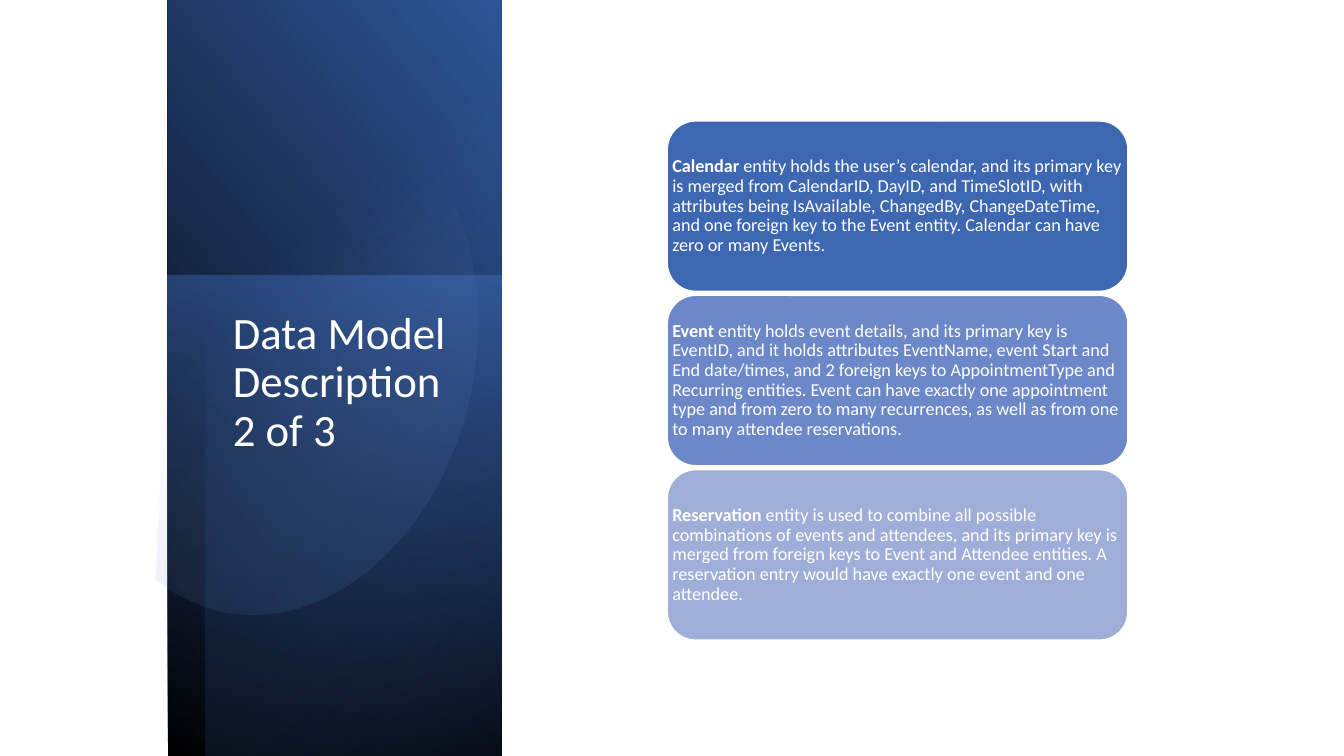
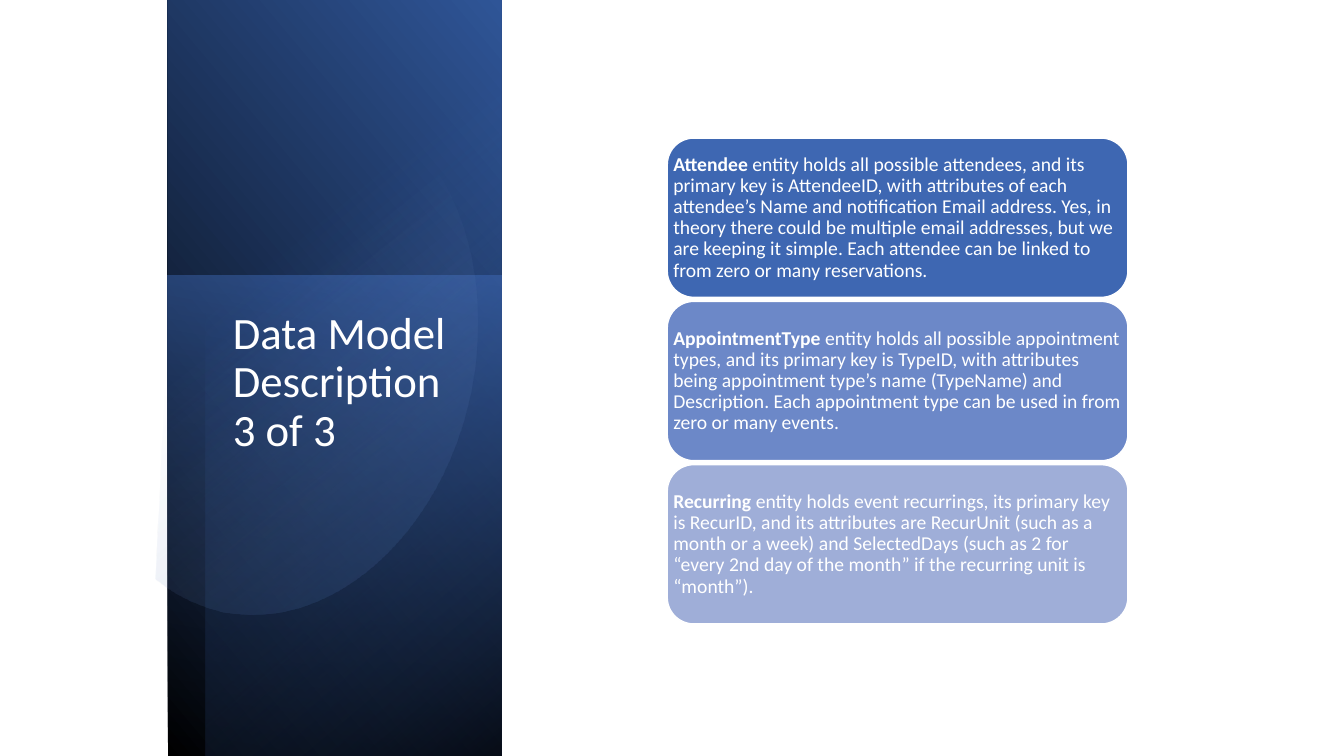
from lxml.etree import SubElement
from pptx import Presentation
from pptx.dml.color import RGBColor
from pptx.enum.shapes import MSO_SHAPE
from pptx.enum.text import MSO_ANCHOR, MSO_AUTO_SIZE, PP_ALIGN
from pptx.oxml.ns import qn
from pptx.util import Pt

PX = 9144  # EMU per px, 100 px to the inch
FONT, WHITE = "Calibri", "FFFFFF"
CARD_COLORS = ["3E67B2", "6C88C8", "9FAED8"]
CARD_LEFT, CARD_WIDTH, CARD_GAP, CARDS_MIDDLE = 662, 457, 4, 378
TITLE_BOX = (221, 303, 236, 336)

# box, rotation, flipped, gradient angle, stops of (position, color, opacity)
BANDS = [
    ((-44, 210, 752, 331), 90, True, 310, [(0, "000000", 100), (100, "2F5597", 100)]),
    ((94, 346, 476, 331), 270, False, 190, [(0, "4472C4", 50), (100, "203864", 0)]),
    ((-24, 228, 750, 294), 270, True, 220, [(0, "000000", 59), (69, "4472C4", 0)]),
]

# A segment holds one point for a line, three for a Bézier curve
GLOW_START = (287, 89)
GLOW_SEGMENTS = [
    [(300, 88), (313, 89), (327, 91)],
    [(433, 113), (496, 247), (467, 389)],
    [(438, 531), (327, 628), (221, 607)],
    [(201, 602), (182, 594), (166, 583)],
    [(154, 574)],
    [(176, 138)],
    [(192, 125)],
    [(221, 104), (253, 91), (287, 89)],
]
GLOW_ANGLE = 52
GLOW_STOPS = [(39, "8FAADC", 0), (100, "2F5597", 26)]

SLIDES = [
    {
        "title": "Data Model Description 2 of 3",
        "card_height": 169, "inset": 5, "size": 13,
        "cards": [
            ("Calendar", " entity holds the user’s calendar, and its primary key is merged "
             "from CalendarID, DayID, and TimeSlotID, with attributes being IsAvailable, "
             "ChangedBy, ChangeDateTime, and one foreign key to the Event entity. "
             "Calendar can have zero or many Events."),
            ("Event", " entity holds event details, and its primary key is EventID, and it "
             "holds attributes EventName, event Start and End date/times, and 2 foreign keys "
             "to AppointmentType and Recurring entities. Event can have exactly one "
             "appointment type and from zero to many recurrences, as well as from one to "
             "many attendee reservations."),
            ("Reservation", " entity is used to combine all possible combinations of events "
             "and attendees, and its primary key is merged from foreign keys to Event and "
             "Attendee entities. A reservation entry would have exactly one event and one "
             "attendee."),
        ],
    },
    {
        "title": "Data Model Description 3 of 3",
        "card_height": 158, "inset": 6, "size": 14,
        "cards": [
            ("Attendee", " entity holds all possible attendees, and its primary key is "
             "AttendeeID, with attributes of each attendee’s Name and notification Email "
             "address. Yes, in theory there could be multiple email addresses, but we are "
             "keeping it simple. Each attendee can be linked to from zero or many "
             "reservations."),
            ("AppointmentType", " entity holds all possible appointment types, and its "
             "primary key is TypeID, with attributes being appointment type’s name "
             "(TypeName) and Description. Each appointment type can be used in from zero "
             "or many events."),
            ("Recurring", " entity holds event recurrings, its primary key is RecurID, and "
             "its attributes are RecurUnit (such as a month or a week) and SelectedDays "
             "(such as 2 for “every 2nd day of the month” if the recurring unit is "
             "“month”)."),
        ],
    },
]


def rgb(color):
    return RGBColor.from_string(color)


def emu(lengths):
    return [round(length * PX) for length in lengths]


def style_span(span, size, bold=False):
    span.font.name, span.font.size, span.font.bold = FONT, Pt(size), bold
    span.font.color.rgb = rgb(WHITE)


def fill_gradient(shape, angle, stops):
    """Fill with a two-stop gradient; the angle runs clockwise."""
    shape.shadow.inherit = False
    shape.line.fill.background()
    shape.fill.gradient()
    shape.fill.gradient_angle = 360 - angle
    for stop, (position, color, _) in zip(shape.fill.gradient_stops, stops):
        stop.position = position / 100
        stop.color.rgb = rgb(color)
    color_elements = shape.element.spPr.iter(qn("a:srgbClr"))
    for element, (_, _, opacity) in zip(color_elements, stops):
        if opacity < 100:
            SubElement(element, qn("a:alpha")).set("val", str(opacity * 1000))


def outline_points(start, segments, steps=24):
    """Turn lines and Bézier curves into a list of points."""
    points = [start]
    for segment in segments:
        if len(segment) == 1:
            points += segment
            continue
        corners = [points[-1], *segment]
        for step in range(1, steps + 1):
            t = step / steps
            weights = [(1 - t) ** 3, 3 * t * (1 - t) ** 2, 3 * t ** 2 * (1 - t), t ** 3]
            points.append(tuple(sum(w * corner[axis] for w, corner in zip(weights, corners))
                                for axis in (0, 1)))
    return points


def add_panel(page):
    for box, rotation, flipped, angle, stops in BANDS:
        band = page.shapes.add_shape(MSO_SHAPE.RECTANGLE, *emu(box))
        band.rotation = rotation
        if flipped:
            band.element.spPr.find(qn("a:xfrm")).set("flipH", "1")
        fill_gradient(band, angle, stops)
    points = [emu(point) for point in outline_points(GLOW_START, GLOW_SEGMENTS)]
    builder = page.shapes.build_freeform(*points[0], scale=1.0)
    builder.add_line_segments(points[1:], close=True)
    fill_gradient(builder.convert_to_shape(), GLOW_ANGLE, GLOW_STOPS)


def add_title(page, text):
    title = page.shapes.title
    page.shapes.element.append(title.element)  # in front of the panel
    title.left, title.top, title.width, title.height = emu(TITLE_BOX)
    frame = title.text_frame
    frame.text = text
    frame.auto_size = MSO_AUTO_SIZE.NONE
    frame.vertical_anchor = MSO_ANCHOR.TOP
    para = frame.paragraphs[0]
    para.alignment, para.line_spacing = PP_ALIGN.LEFT, 0.9
    style_span(para.runs[0], 32)


def add_cards(page, cards, height, inset, size):
    group = page.shapes.add_group_shape().shapes
    pitch = height + CARD_GAP
    top = CARDS_MIDDLE - (len(cards) * pitch - CARD_GAP + 1) // 2
    for index, ((entity, description), color) in enumerate(zip(cards, CARD_COLORS)):
        box = emu((CARD_LEFT, top + index * pitch, CARD_WIDTH, height))
        card = group.add_shape(MSO_SHAPE.ROUNDED_RECTANGLE, *box)
        card.shadow.inherit = False
        card.fill.solid()
        card.fill.fore_color.rgb = rgb(color)
        card.line.color.rgb = rgb(WHITE)
        card.line.width = Pt(1)

        frame = group.add_textbox(*box).text_frame
        frame.word_wrap = True
        frame.vertical_anchor = MSO_ANCHOR.MIDDLE
        frame.margin_left = frame.margin_right = inset * PX
        frame.margin_top = frame.margin_bottom = inset * PX
        para = frame.paragraphs[0]
        para.line_spacing = 0.9
        for text, bold in ((entity, True), (description, False)):
            span = para.add_run()
            span.text = text
            style_span(span, size, bold)


def main():
    deck = Presentation()
    deck.slide_width, deck.slide_height = emu((1333.33, 750))
    title_only = deck.slide_layouts[5]
    for content in SLIDES:
        page = deck.slides.add_slide(title_only)
        add_panel(page)
        add_title(page, content["title"])
        add_cards(page, content["cards"], content["card_height"],
                  content["inset"], content["size"])
    deck.save("out.pptx")


if __name__ == "__main__":
    main()
